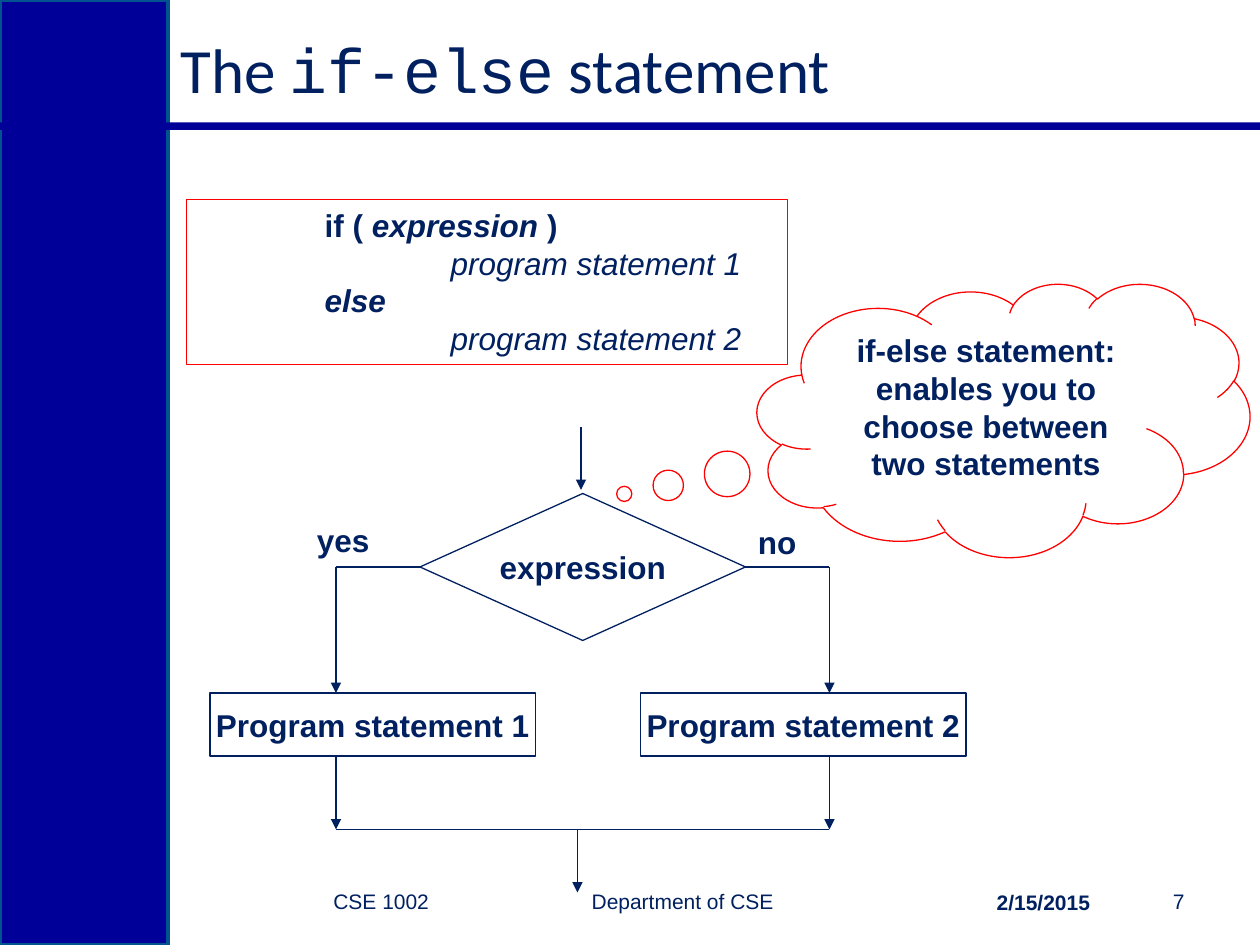
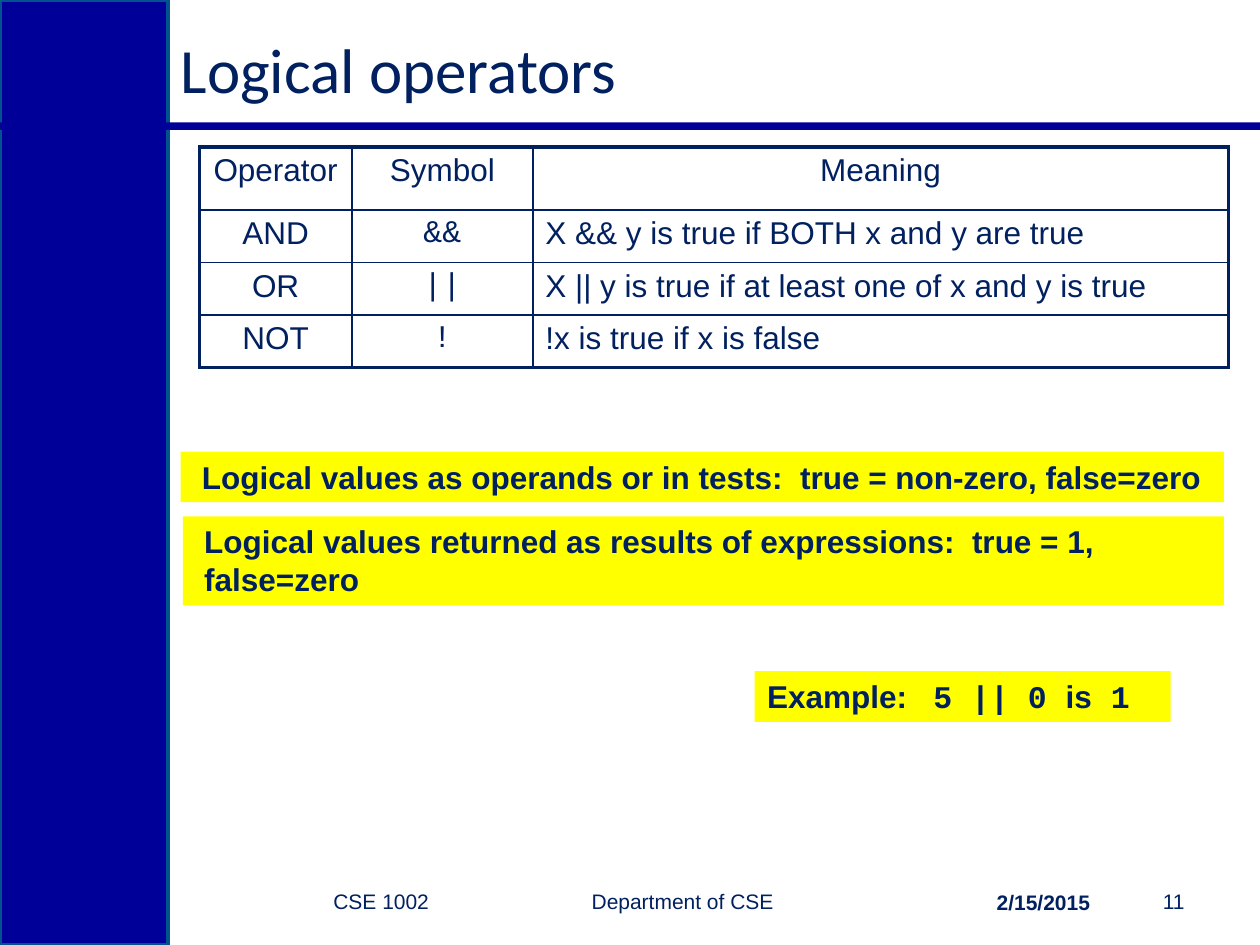
from dataclasses import dataclass

from pptx import Presentation
from pptx.dml.color import RGBColor
from pptx.enum.shapes import MSO_CONNECTOR, MSO_SHAPE
from pptx.enum.text import MSO_ANCHOR, MSO_AUTO_SIZE, PP_ALIGN
from pptx.oxml.xmlchemy import OxmlElement
from pptx.shapes.autoshape import Shape
from pptx.slide import Slide
from pptx.table import _Cell
from pptx.text.text import TextFrame, _Paragraph
from pptx.util import Pt

COLORS = {
    "navy": "002060",
    "band": "000099",
    "band_edge": "00538E",
    "red": "FF0000",
    "yellow": "FFFF00",
}
BODY_FONT, TITLE_FONT, CODE_FONT = "Arial", "Calibri", "Courier New"
TITLE_ONLY_LAYOUT = 5
THIN, THICK = 1, 2.25


@dataclass(frozen=True)
class Run:
    text: str
    font: str = BODY_FONT
    bold: bool = True
    italic: bool = False
    size: float = 18


@dataclass(frozen=True)
class Line:
    runs: tuple[Run, ...]
    indent: float = 0
    tab: float = 0


@dataclass(frozen=True)
class Box:
    left: float
    top: float
    width: float
    height: float
    lines: tuple[Line, ...] = ()
    preset: MSO_SHAPE = MSO_SHAPE.RECTANGLE
    fill: str = ""
    outline: str = ""
    weight: float = 0.75
    align: PP_ALIGN = PP_ALIGN.LEFT
    anchor: MSO_ANCHOR = MSO_ANCHOR.TOP
    wrap: bool = True
    inset: float = 7.2


@dataclass(frozen=True)
class Stroke:
    x1: float
    y1: float
    x2: float
    y2: float
    arrow: bool = False


def color(name: str) -> RGBColor:
    return RGBColor.from_string(COLORS[name])


def line(text: str, bold: bool = True, size: float = 18) -> Line:
    return Line((Run(text, bold=bold, size=size),))


def write_text(paragraph: _Paragraph, text: str, *, font: str = BODY_FONT, size: float = 18,
               bold: bool = False, italic: bool = False) -> None:
    run = paragraph.add_run()
    run.text = text
    run.font.name = font
    run.font.size = Pt(size)
    run.font.bold = bold
    run.font.italic = italic
    run.font.color.rgb = color("navy")


def write_lines(frame: TextFrame, lines: tuple[Line, ...], align: PP_ALIGN) -> None:
    for index, item in enumerate(lines):
        paragraph = frame.add_paragraph() if index else frame.paragraphs[0]
        paragraph.alignment = align
        properties = paragraph._p.get_or_add_pPr()
        if item.indent:
            properties.set("marL", str(Pt(item.indent)))
            properties.set("indent", "0")
        if item.tab:
            tabs = OxmlElement("a:tabLst")
            stop = OxmlElement("a:tab")
            stop.set("pos", str(Pt(item.tab)))
            stop.set("algn", "l")
            tabs.append(stop)
            properties.append(tabs)
        for run in item.runs:
            write_text(paragraph, run.text, font=run.font, size=run.size,
                       bold=run.bold, italic=run.italic)


def draw_box(slide: Slide, box: Box) -> Shape:
    shape = slide.shapes.add_shape(box.preset, Pt(box.left), Pt(box.top),
                                   Pt(box.width), Pt(box.height))
    shape.shadow.inherit = False
    if box.fill:
        shape.fill.solid()
        shape.fill.fore_color.rgb = color(box.fill)
    else:
        shape.fill.background()
    if box.outline:
        shape.line.color.rgb = color(box.outline)
        shape.line.width = Pt(box.weight)
    else:
        shape.line.fill.background()
    frame = shape.text_frame
    frame.word_wrap = box.wrap
    frame.vertical_anchor = box.anchor
    frame.margin_left = Pt(box.inset)
    write_lines(frame, box.lines, box.align)
    return shape


def draw_stroke(slide: Slide, stroke: Stroke) -> None:
    connector = slide.shapes.add_connector(MSO_CONNECTOR.STRAIGHT, Pt(stroke.x1), Pt(stroke.y1),
                                           Pt(stroke.x2), Pt(stroke.y2))
    connector.line.color.rgb = color("navy")
    connector.line.width = Pt(0.75)
    if stroke.arrow:
        head = OxmlElement("a:tailEnd")
        head.set("type", "triangle")
        connector.line._get_or_add_ln().append(head)
    connector._element.spPr.append(OxmlElement("a:effectLst"))


def draw_border(cell: _Cell, side: str, width: float) -> None:
    border = OxmlElement(f"a:ln{side}")
    border.set("w", str(Pt(width)))
    fill = OxmlElement("a:solidFill")
    rgb = OxmlElement("a:srgbClr")
    rgb.set("val", COLORS["navy"])
    fill.append(rgb)
    border.append(fill)
    cell._tc.get_or_add_tcPr().append(border)


def start_slide(presentation: Presentation, number: int, title: tuple[Run, ...]) -> Slide:
    slide = presentation.slides.add_slide(presentation.slide_layouts[TITLE_ONLY_LAYOUT])
    draw_box(slide, Box(0, 0, 96, 540, fill="band", outline="band_edge", weight=2))
    draw_box(slide, Box(0, 70, 720, 4.3, fill="band"))

    heading = slide.shapes.title
    heading.left, heading.top, heading.width, heading.height = Pt(96), Pt(12), Pt(564), Pt(54)
    heading.text_frame.auto_size = MSO_AUTO_SIZE.NONE
    heading.text_frame.vertical_anchor = MSO_ANCHOR.MIDDLE
    write_lines(heading.text_frame, (Line(title),), PP_ALIGN.LEFT)

    course = Run("CSE 1002\tDepartment of CSE", bold=False, size=12)
    footers = (
        Box(183.4, 500.4, 266.6, 28.8, (Line((course,), tab=147.6),),
            anchor=MSO_ANCHOR.MIDDLE),
        Box(504, 501, 126, 28.8, (line("2/15/2015", size=12),),
            align=PP_ALIGN.RIGHT, anchor=MSO_ANCHOR.MIDDLE),
        Box(630, 500.4, 54, 28.8, (line(str(number), bold=False, size=12),),
            align=PP_ALIGN.RIGHT, anchor=MSO_ANCHOR.MIDDLE),
    )
    for footer in footers:
        draw_box(slide, footer)
    return slide


def title_run(text: str, font: str = TITLE_FONT) -> Run:
    return Run(text, font=font, bold=False, size=36)


def build_if_else(presentation: Presentation) -> None:
    slide = start_slide(presentation, 7, (
        title_run("The "), title_run("if-else", CODE_FONT), title_run(" statement")))

    cloud = draw_box(slide, Box(
        432.7, 162, 281.5, 156.2,
        (line("if-else statement: enables you to choose between two statements"),),
        preset=MSO_SHAPE.CLOUD_CALLOUT, outline="red", align=PP_ALIGN.CENTER))
    cloud.adjustments[0], cloud.adjustments[1] = -0.77, 0.27

    syntax = (
        Line((Run("if ( "), Run("expression ", italic=True), Run(")")), indent=72),
        Line((Run("program statement 1", bold=False, italic=True),), indent=144),
        Line((Run("else", italic=True),), indent=72),
        Line((Run("program statement 2", bold=False, italic=True),), indent=144),
    )
    draw_box(slide, Box(106.5, 114, 343.5, 94.3, syntax, outline="red"))

    yes_x, no_x = 192, 474
    branch_y, process_y, process_height, merge_y = 324, 396, 36, 474
    decision_left, node_width = 240, 186
    decision_right = decision_left + node_width

    nodes = (
        (decision_left, 282, 84, "expression", MSO_SHAPE.FLOWCHART_DECISION),
        (120, process_y, process_height, "Program statement 1", MSO_SHAPE.FLOWCHART_PROCESS),
        (366, process_y, process_height, "Program statement 2", MSO_SHAPE.FLOWCHART_PROCESS),
    )
    for left, top, height, text, preset in nodes:
        draw_box(slide, Box(left, top, node_width, height, (line(text),), preset=preset,
                            outline="navy", align=PP_ALIGN.CENTER,
                            anchor=MSO_ANCHOR.MIDDLE, wrap=False))
    draw_box(slide, Box(174, 294, 44.6, 29, (line("yes"),), wrap=False))
    draw_box(slide, Box(426, 295.4, 36.7, 29, (line("no"),), wrap=False))

    draw_stroke(slide, Stroke(332, 244, 332, 280, arrow=True))
    for branch_x, decision_edge in ((yes_x, decision_left), (no_x, decision_right)):
        draw_stroke(slide, Stroke(decision_edge, branch_y, branch_x, branch_y))
        draw_stroke(slide, Stroke(branch_x, branch_y, branch_x, process_y, arrow=True))
        draw_stroke(slide, Stroke(branch_x, process_y + process_height,
                                  branch_x, merge_y, arrow=True))
    draw_stroke(slide, Stroke(yes_x, merge_y, no_x, merge_y))
    draw_stroke(slide, Stroke(330, merge_y, 330, 510, arrow=True))


def draw_operator_table(slide: Slide) -> None:
    rows = (
        ("Operator", "Symbol", "Meaning"),
        ("AND", "&&", "X && y is true if BOTH x and y are true"),
        ("OR", "||", "X || y is true if at least one of x and y is true"),
        ("NOT", "!", "!x is true if x is false"),
    )
    widths, heights = (87, 103.5, 397.5), (36, 30, 30, 30)
    table = slide.shapes.add_table(len(rows), len(widths), Pt(114), Pt(84),
                                   Pt(sum(widths)), Pt(sum(heights))).table
    table.first_row = table.horz_banding = False
    for column, width in zip(table.columns, widths):
        column.width = Pt(width)
    last_row, last_column = len(rows) - 1, len(widths) - 1
    for row_index, (texts, height) in enumerate(zip(rows, heights)):
        table.rows[row_index].height = Pt(height)
        for column_index, text in enumerate(texts):
            cell = table.cell(row_index, column_index)
            outer_sides = {"L": column_index == 0, "R": column_index == last_column,
                           "T": row_index == 0, "B": row_index == last_row}
            for side, is_outer in outer_sides.items():
                draw_border(cell, side, THICK if is_outer else THIN)
            cell.fill.background()
            is_symbol = row_index > 0 and column_index == 1
            is_meaning = row_index > 0 and column_index == last_column
            run = Run(text, font=CODE_FONT if is_symbol else BODY_FONT, bold=False)
            write_lines(cell.text_frame, (Line((run,)),),
                        PP_ALIGN.LEFT if is_meaning else PP_ALIGN.CENTER)


def build_logical_operators(presentation: Presentation) -> None:
    slide = start_slide(presentation, 11, (title_run("Logical operators"),))
    draw_operator_table(slide)
    example = Line((Run("Example:\t"), Run("5 || 0 ", font=CODE_FONT), Run("is"),
                    Run(" 1", font=CODE_FONT)), tab=95)
    notes = (
        Box(103.2, 258, 596.2, 29,
            (line("Logical values as operands or in tests:  true = non-zero, false=zero"),),
            fill="yellow", inset=12.2, wrap=False),
        Box(104.5, 295, 594.9, 51,
            (line("Logical values returned as results of expressions:  true = 1,"),
             line("false=zero")), fill="yellow", inset=12.2),
        Box(431.3, 383.5, 237.7, 29, (example,), fill="yellow"),
    )
    for note in notes:
        draw_box(slide, note)


def main() -> None:
    presentation = Presentation()
    presentation.slide_width, presentation.slide_height = Pt(720), Pt(540)
    build_if_else(presentation)
    build_logical_operators(presentation)
    presentation.save("out.pptx")


if __name__ == "__main__":
    main()
